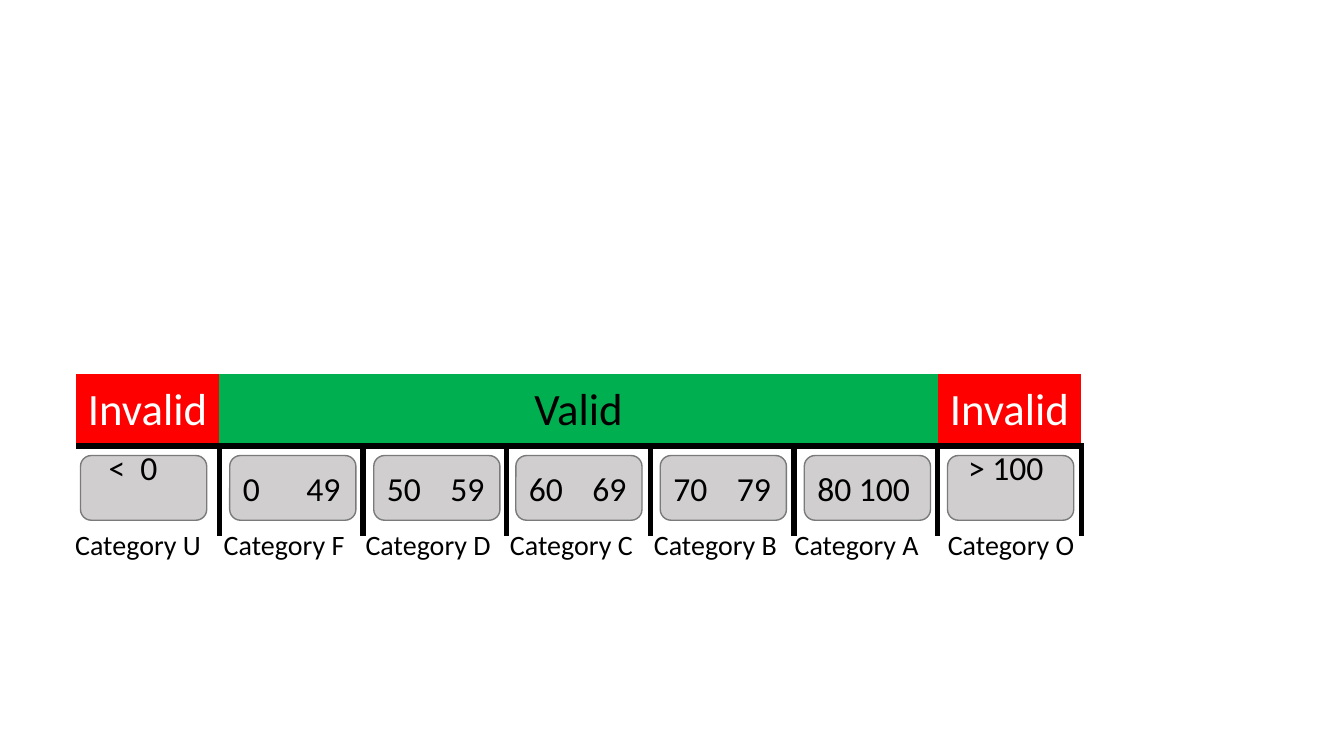
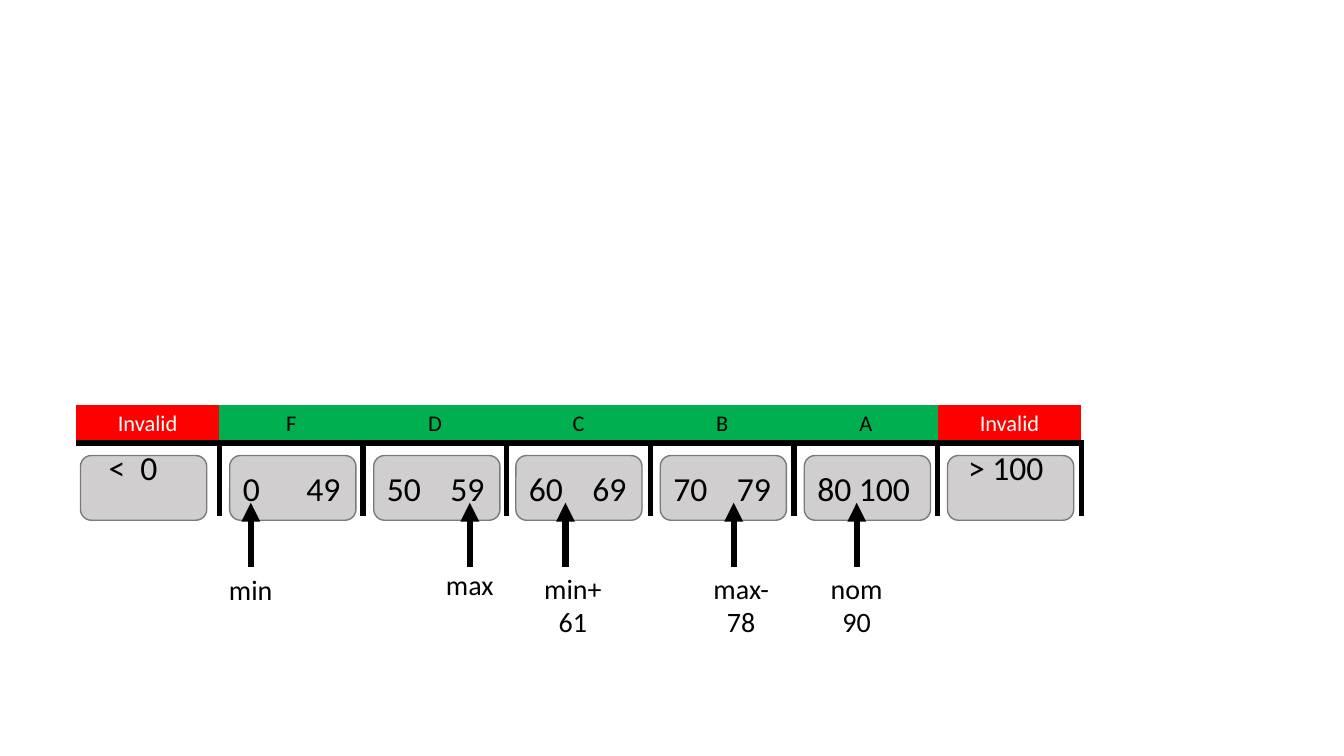
import pptx
import pptx.chart.data
import pptx.dml.color
import pptx.enum.shapes
import pptx.enum.text
import pptx.oxml
import pptx.oxml.ns
import pptx.util
import lxml.etree

Cm, Pt = pptx.util.Cm, pptx.util.Pt
ALIGN = pptx.enum.text.PP_ALIGN
ANCHOR = pptx.enum.text.MSO_ANCHOR

COLORS = {
    "black": "000000",
    "white": "FFFFFF",
    "invalid": "FF0000",
    "valid": "00B050",
    "range": "D0CECE",
    "outline": "7A7A7A",
}
FONT = "Calibri"
NO_GRID_STYLE = "{2D5ABB26-0587-4C30-8999-92F81FD0307C}"

TABLE_LEFT, COLUMN_WIDTH = 1.91, 3.62
RANGE_TOP, RANGE_WIDTH, RANGE_HEIGHT = 11.48, 3.18, 1.63
LABEL_WIDTH, LABEL_HEIGHT = 3.86, 1.12
MARK_WIDTH = 2.41
ARROW_START, ARROW_END = 14.3, 12.67

RANGES = [
    {"text": "<\t0", "left": 2.03, "tab": 0.8, "indent": 0.38, "lift": 1.02},
    {"text": "0\t49", "left": 5.79},
    {"text": "50\t59", "left": 9.42},
    {"text": "60\t69", "left": 13.0},
    {"text": "70\t79", "left": 16.64},
    {"text": "80 100", "left": 20.27},
    {"text": "> 100", "left": 23.88, "indent": 0.19, "lift": 1.02},
]
CATEGORIES = [
    ("Category U", 1.55),
    ("Category F", 5.23),
    ("Category D", 8.86),
    ("Category C", 12.47),
    ("Category B", 16.1),
    ("Category A", 19.66),
    ("Category O", 23.55),
]
MARKS = [
    ("min", 6.32, 0, 14.3),
    ("max", 11.84, 0, 14.17),
    ("min+\n61", 14.25, 0.19, 14.27),
    ("max-\n78", 18.49, 0.19, 14.27),
    ("nom\n90", 21.59, 0, 14.27),
]
TABLES = [
    {"header": ["Invalid", "", "", "Valid", "", "", "Invalid"],
     "top": 9.42, "rows": (1.82, 2.27), "size": 32},
    {"header": ["Invalid", "F", "D", "C", "B", "A", "Invalid"],
     "top": 10.21, "rows": (0.95, 1.83), "size": 16},
]


def rgb(name):
    return pptx.dml.color.RGBColor.from_string(COLORS[name])


def write(tf, text, size=20, color="black", align=ALIGN.CENTER, tab=None):
    for i, line in enumerate(text.split("\n")):
        p = tf.paragraphs[0] if i == 0 else tf.add_paragraph()
        p.alignment = align
        if tab:
            pPr = p._p.get_or_add_pPr()
            stops = lxml.etree.SubElement(pPr, pptx.oxml.ns.qn("a:tabLst"))
            lxml.etree.SubElement(stops, pptx.oxml.ns.qn("a:tab"), pos=str(Cm(tab)), algn="l")
        r = p.add_run()
        r.text = line
        r.font.name = FONT
        r.font.size = Pt(size)
        r.font.color.rgb = rgb(color)


def add_border(cell, side):
    tcPr = cell._tc.get_or_add_tcPr()
    tcPr.append(pptx.oxml.parse_xml(
        f'<a:ln{side} {pptx.oxml.ns.nsdecls("a")} w="{Pt(4.5)}"><a:solidFill>'
        f'<a:srgbClr val="{COLORS["black"]}"/></a:solidFill></a:ln{side}>'))


def add_scale(s, header, top, rows, size):
    count = len(header)
    frame = s.shapes.add_table(2, count, Cm(TABLE_LEFT), Cm(top),
                               Cm(COLUMN_WIDTH * count), Cm(sum(rows)))
    table = frame.table
    table.first_row = table.horz_banding = False
    table._tbl.tblPr.find(pptx.oxml.ns.qn("a:tableStyleId")).text = NO_GRID_STYLE
    for row, height in zip(table.rows, rows):
        row.height = Cm(height)
    for i, text in enumerate(header):
        table.columns[i].width = Cm(COLUMN_WIDTH)
        invalid = i in (0, count - 1)
        head, body = table.cell(0, i), table.cell(1, i)
        add_border(head, "B")
        head.fill.solid()
        head.fill.fore_color.rgb = rgb("invalid" if invalid else "valid")
        head.vertical_anchor = ANCHOR.MIDDLE
        if text:
            write(head.text_frame, text, size=size, color="white" if invalid else "black")
        for side in ("R", "T") if i == 0 else ("L", "R", "T"):
            add_border(body, side)
        body.fill.background()


def add_range(s, text, left, tab=1.6, indent=0, lift=0):
    sp = s.shapes.add_shape(pptx.enum.shapes.MSO_SHAPE.ROUNDED_RECTANGLE, Cm(left),
                            Cm(RANGE_TOP), Cm(RANGE_WIDTH), Cm(RANGE_HEIGHT))
    sp.shadow.inherit = False
    sp.fill.solid()
    sp.fill.fore_color.rgb = rgb("range")
    sp.line.color.rgb = rgb("outline")
    sp.line.width = Pt(1)
    tf = sp.text_frame
    tf.vertical_anchor = ANCHOR.MIDDLE
    tf.margin_left = Cm(0.25 + indent)
    tf.margin_bottom = Cm(0.13 + lift)
    write(tf, text, size=24, align=ALIGN.LEFT, tab=tab if "\t" in text else None)


def add_label(s, text, left, top, width):
    height = LABEL_HEIGHT + 0.85 * text.count("\n")
    tf = s.shapes.add_textbox(Cm(left), Cm(top), Cm(width), Cm(height)).text_frame
    tf.word_wrap = True
    write(tf, text)


def add_arrow(s, x):
    line = s.shapes.add_connector(pptx.enum.shapes.MSO_CONNECTOR.STRAIGHT,
                                  Cm(x), Cm(ARROW_START), Cm(x), Cm(ARROW_END))
    line.line.color.rgb = rgb("black")
    line.line.width = Pt(4.5)
    ln = line.line._get_or_add_ln()
    lxml.etree.SubElement(ln, pptx.oxml.ns.qn("a:tailEnd"), type="triangle")
    lxml.etree.SubElement(line._element.spPr, pptx.oxml.ns.qn("a:effectLst"))


def add_base(prs, table):
    s = prs.slides.add_slide(prs.slide_layouts[6])
    add_scale(s, **table)
    for item in RANGES:
        add_range(s, **item)
    return s


def main():
    prs = pptx.Presentation()
    prs.slide_width, prs.slide_height = Cm(33.87), Cm(19.05)
    categories, marks = [add_base(prs, table) for table in TABLES]
    for text, left in CATEGORIES:
        add_label(categories, text, left, 13.18, LABEL_WIDTH)
    for text, x, shift, top in MARKS:
        add_arrow(marks, x)
        add_label(marks, text, x + shift - MARK_WIDTH / 2, top, MARK_WIDTH)
    prs.save("out.pptx")


if __name__ == "__main__":
    main()
